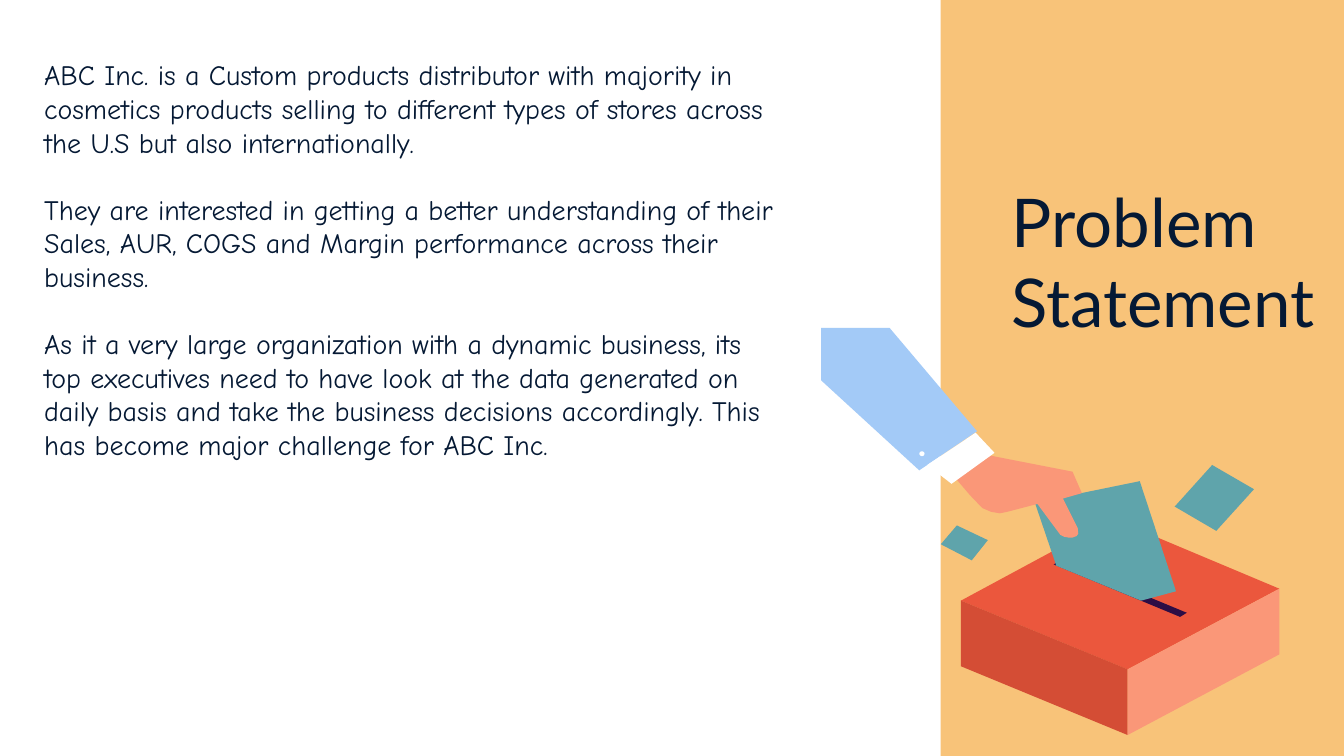
from typing import NamedTuple

from pptx import Presentation
from pptx.dml.color import RGBColor
from pptx.enum.shapes import MSO_SHAPE
from pptx.enum.text import MSO_ANCHOR, MSO_AUTO_SIZE, PP_ALIGN
from pptx.util import Pt

RECT, OVAL = MSO_SHAPE.RECTANGLE, MSO_SHAPE.OVAL
TOP, BOTTOM = MSO_ANCHOR.TOP, MSO_ANCHOR.BOTTOM
LEFT, CENTER, RIGHT = PP_ALIGN.LEFT, PP_ALIGN.CENTER, PP_ALIGN.RIGHT
FIXED = MSO_AUTO_SIZE.NONE

COLORS = {
    "panel": "F8C379", "ink": "051934", "lid": "EB573D", "slot": "2D0D45",
    "side": "D44D35", "skin": "FA9778", "paper": "5FA4AB",
    "sleeve": "A3CAF7", "white": "FFFFFF",
}


class Area(NamedTuple):
    left: float
    top: float
    width: float
    height: float


class Piece(NamedTuple):
    color: str
    points: list[tuple[float, float]]


class Style(NamedTuple):
    font: str
    size: float
    anchor: int
    gap: float


class Line(NamedTuple):
    text: str
    align: int


def place(shape, area: Area) -> None:
    for name, value in area._asdict().items():
        setattr(shape, name, Pt(value))


def paint(shape, color: str) -> None:
    shape.shadow.inherit = False
    shape.fill.solid()
    shape.fill.fore_color.rgb = RGBColor.from_string(COLORS[color])
    shape.line.fill.background()


def add_plain(shapes, kind: int, area: Area, color: str):
    shape = shapes.add_shape(kind, *(Pt(value) for value in area))
    paint(shape, color)
    return shape


def add_piece(shapes, piece: Piece) -> None:
    first, *rest = [(Pt(x), Pt(y)) for x, y in piece.points]
    outline = shapes.build_freeform(*first)
    outline.add_line_segments(rest, close=True)
    paint(outline.convert_to_shape(), piece.color)


def write(shape, lines: list[Line], style: Style) -> None:
    frame = shape.text_frame
    margins = {f"margin_{side}": Pt(7.2)
               for side in ("left", "top", "right", "bottom")}
    values = {"word_wrap": True, "auto_size": FIXED,
              "vertical_anchor": style.anchor, **margins}
    for name, value in values.items():
        setattr(frame, name, value)
    for index, line in enumerate(lines):
        para = frame.add_paragraph() if index else frame.paragraphs[0]
        run = para.add_run()
        run.text = line.text
        for name, value in {"alignment": line.align, "line_spacing": 1.0,
                            "space_before": Pt(0),
                            "space_after": Pt(style.gap)}.items():
            setattr(para, name, value)
        for name, value in {"name": style.font, "size": Pt(style.size),
                            "bold": False}.items():
            setattr(run.font, name, value)
        run.font.color.rgb = RGBColor.from_string(COLORS["ink"])


TITLE = [Line("Problem ", CENTER), Line("Statement", RIGHT)]
BODY = [
    Line("ABC Inc. is a Custom products distributor with majority in "
         "cosmetics products selling to different types of stores across "
         "the U.S but also internationally.", LEFT),
    Line("They are interested in getting a better understanding of their "
         "Sales, AUR, COGS and Margin performance across their business.",
         LEFT),
    Line("As it a very large organization with a dynamic business, its top "
         "executives need to have look at the data generated on daily basis "
         "and take the business decisions accordingly. This has become major "
         "challenge for ABC Inc.", LEFT),
]

# Corners of the ballot box lid, and the same corners at the base
DEPTH = 35.2
BACK, EAST, FRONT, WEST = LID = [
    (596.2, 277.9), (685.4, 315.4), (604.1, 358.6), (514.8, 321.8)]
EAST_LOW, FRONT_LOW, WEST_LOW = [
    (x, y + DEPTH) for x, y in (EAST, FRONT, WEST)]

PIECES = [
    Piece("lid", LID),
    Piece("slot", [(568.1, 300.2), (635.8, 328.3), (632.2, 330.5),
                   (564.5, 302.4)]),
    Piece("side", [WEST, FRONT, FRONT_LOW, WEST_LOW]),
    Piece("skin", [EAST, EAST_LOW, FRONT_LOW, FRONT]),
    # Ballot and two loose slips
    Piece("paper", [(610.6, 257.8), (630, 316.8), (611.3, 321.8),
                    (565.9, 303.1), (554.4, 269.3)]),
    Piece("paper", [(649.4, 249.1), (671.8, 262.1), (651.6, 284.4),
                    (629.3, 271.4)]),
    Piece("paper", [(512.6, 281.5), (529.2, 289.4), (520.6, 300.2),
                    (504, 291.6)]),
    # Hand, sleeve and cuff
    Piece("skin", [(530.6, 244.1), (574.6, 252.7), (579.6, 264.2),
                   (569.5, 267.1), (577.4, 283), (577.7, 285.9),
                   (576.8, 287.2), (574.6, 288), (572.4, 288),
                   (570.2, 287.6), (568.1, 286.6), (555.8, 270),
                   (539.3, 274.3), (535.7, 275), (531, 274.2),
                   (526.3, 272.2), (519.7, 265.3), (512.6, 257)]),
    Piece("sleeve", [(476.6, 175.7), (523.4, 231.1), (492.5, 252),
                     (439.9, 203.8), (439.9, 175.7)]),
    Piece("white", [(522.7, 231.8), (532.8, 242.6), (509.8, 259.2),
                    (496.8, 249.1)]),
]


def main() -> None:
    deck = Presentation()
    deck.slide_width, deck.slide_height = Pt(720), Pt(405)
    slide = deck.slides.add_slide(deck.slide_layouts[5])
    shapes = slide.shapes

    # Side panel, behind the title
    panel = add_plain(shapes, RECT, Area(504, 0, 216, 405), "panel")
    panel.element.getparent().insert(2, panel.element)

    # Title and body text
    place(shapes.title, Area(513.4, 128.2, 198, 61.9))
    write(shapes.title, TITLE, Style("Lato", 36, BOTTOM, 0))
    area = Area(16.6, 23.8, 407.5, 270.7)
    body = shapes.add_textbox(*(Pt(value) for value in area))
    write(body, BODY, Style("Comic Neue", 15, TOP, 18))

    # Hand casting a vote
    group = shapes.add_group_shape()
    for piece in PIECES:
        add_piece(group.shapes, piece)
    add_plain(group.shapes, OVAL, Area(492.5, 241.8, 2.8, 2.6), "white")

    deck.save("out.pptx")


if __name__ == "__main__":
    main()
